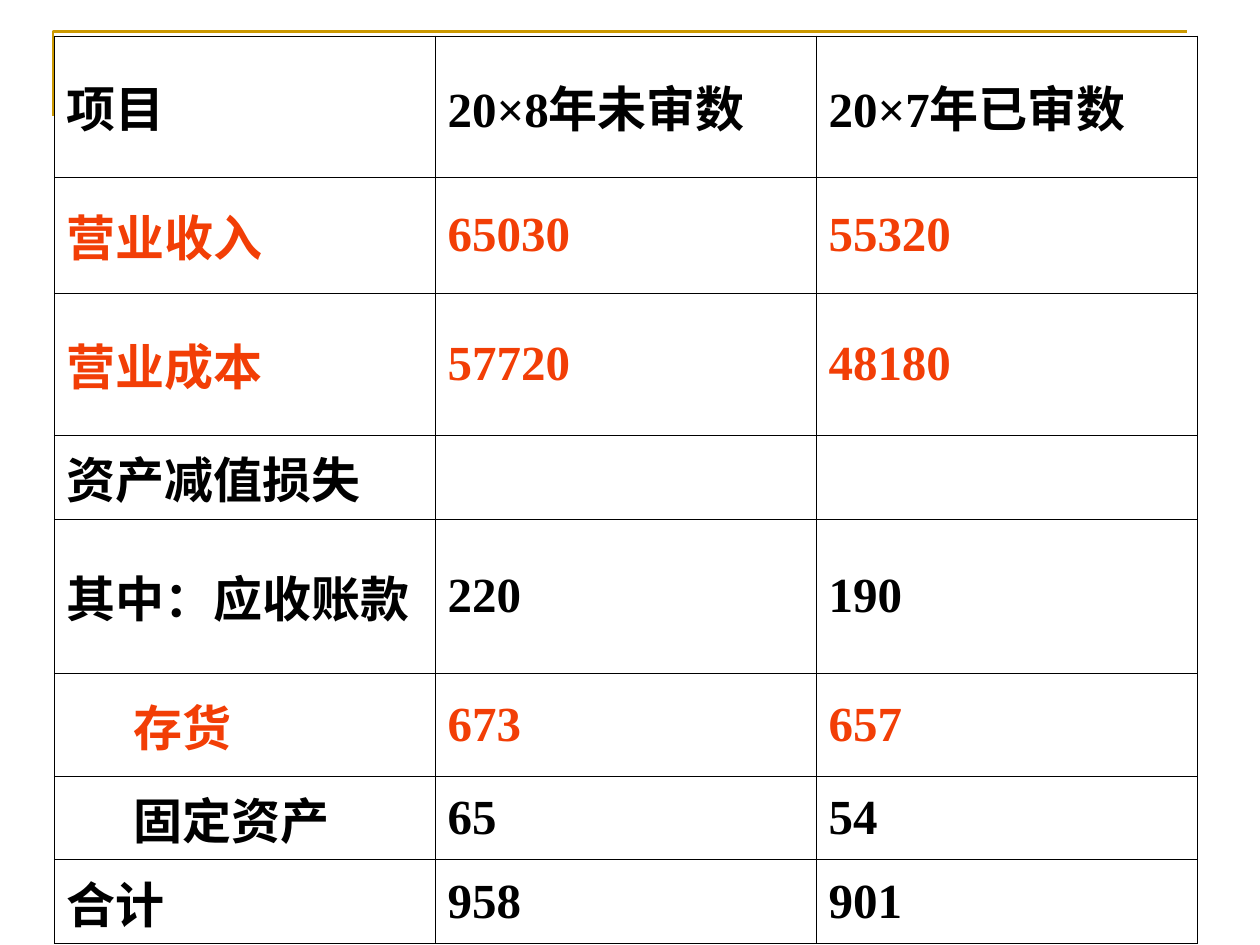
import itertools
from dataclasses import dataclass

import pptx
import pptx.dml.color
import pptx.enum.text
import pptx.oxml
import pptx.oxml.ns
import pptx.util


@dataclass(frozen=True)
class Theme:
    ink: str = "000000"
    red: str = "F23E06"
    gold: str = "CC9900"
    paper: str = "FFFFFF"
    han: str = "Noto Sans CJK SC"
    latin: str = "Times New Roman"
    size: float = 28
    rule: float = 1.5
    edge: float = 0.45


def color(code):
    return pptx.dml.color.RGBColor.from_string(code)


class Deck:
    cols, rows = 100, 75

    def __init__(self, theme):
        self.theme = theme
        self.file = pptx.Presentation()
        self.file.slide_width = pptx.util.Inches(10)
        self.file.slide_height = pptx.util.Inches(7.5)
        self.slide = self.file.slides.add_slide(self.file.slide_layouts[6])

    def x(self, col):
        return round(self.file.slide_width * col / self.cols)

    def y(self, row):
        return round(self.file.slide_height * row / self.rows)

    def corner(self, left, top, wide, high):
        pen = self.slide.shapes.build_freeform(self.x(left), self.y(top + high))
        pen.add_line_segments(
            [(self.x(left), self.y(top)), (self.x(left + wide), self.y(top))],
            close=False,
        )
        shape = pen.convert_to_shape()
        shape.shadow.inherit = False
        shape.fill.background()
        shape.line.color.rgb = color(self.theme.gold)
        shape.line.width = pptx.util.Pt(self.theme.rule)

    def table(self, left, top, wide, highs, data):
        count = len(data[0][0])
        grid = self.slide.shapes.add_table(
            len(data), count, self.x(left), self.y(top),
            self.x(wide), self.y(sum(highs)),
        ).table
        grid.first_row = grid.horz_banding = False
        for col in grid.columns:
            col.width = self.x(wide / count)
        for row, high, (texts, tint, inset) in zip(grid.rows, highs, data):
            row.height = self.y(high)
            for num, (cell, text) in enumerate(zip(row.cells, texts)):
                self.frame(cell)
                if text:
                    self.label(cell, text, tint, inset if num == 0 else 0)

    def frame(self, cell):
        props = cell._tc.get_or_add_tcPr()
        space = pptx.oxml.ns.nsdecls("a")
        for side in "LRTB":
            props.append(pptx.oxml.parse_xml(
                f'<a:ln{side} {space} w="{pptx.util.Pt(self.theme.edge)}">'
                f'<a:solidFill><a:srgbClr val="{self.theme.ink}"/></a:solidFill>'
                f'</a:ln{side}>'
            ))
        cell.fill.solid()
        cell.fill.fore_color.rgb = color(self.theme.paper)
        cell.vertical_anchor = pptx.enum.text.MSO_ANCHOR.MIDDLE
        cell.margin_left = cell.margin_right = self.x(1)
        cell.margin_top = cell.margin_bottom = self.y(0.5)

    def label(self, cell, text, tint, inset):
        para = cell.text_frame.paragraphs[0]
        para.alignment = pptx.enum.text.PP_ALIGN.JUSTIFY
        props = para._p.get_or_add_pPr()
        props.set("marL", str(self.x(inset or 3.8)))
        props.set("indent", str(0 if inset else -self.x(3.8)))
        for plain, part in itertools.groupby(text, lambda sign: ord(sign) < 256):
            run = para.add_run()
            run.text = "".join(part)
            font = run.font
            font.size = pptx.util.Pt(self.theme.size)
            font.bold = True
            font.color.rgb = color(tint)
            font.name = self.theme.latin if plain else self.theme.han
            face = pptx.oxml.parse_xml(
                f'<a:ea {pptx.oxml.ns.nsdecls("a")} typeface="{self.theme.han}"/>'
            )
            run._r.get_or_add_rPr().append(face)


def main():
    theme = Theme()
    deck = Deck(theme)
    deck.corner(4.2, 2.5, 90, 6.7)
    deck.table(
        4.3, 2.85, 90.7,
        [11.2, 9.2, 11.3, 6.65, 12.25, 8.15, 6.65, 6.65],
        [
            (("项目", "20×8年未审数", "20×7年已审数"), theme.ink, 0),
            (("营业收入", "65030", "55320"), theme.red, 0),
            (("营业成本", "57720", "48180"), theme.red, 0),
            (("资产减值损失", "", ""), theme.ink, 0),
            (("其中：应收账款", "220", "190"), theme.ink, 0),
            (("存货", "673", "657"), theme.red, 5.3),
            (("固定资产", "65", "54"), theme.ink, 5.3),
            (("合计", "958", "901"), theme.ink, 0),
        ],
    )
    deck.file.save("out.pptx")


if __name__ == "__main__":
    main()
